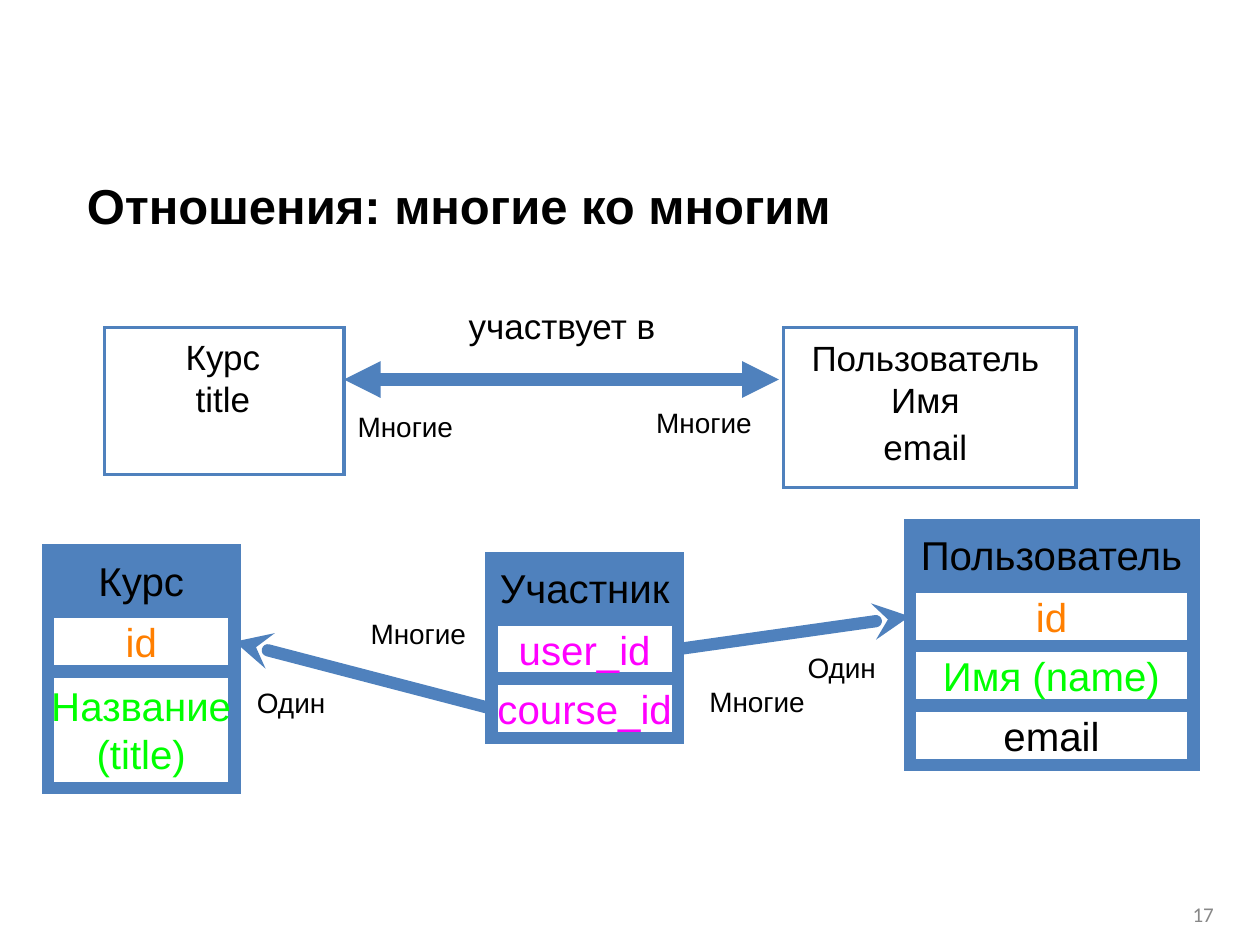
from lxml.etree import SubElement
from pptx import Presentation
from pptx.dml.color import RGBColor
from pptx.enum.shapes import MSO_CONNECTOR, MSO_SHAPE
from pptx.enum.text import MSO_ANCHOR, PP_ALIGN
from pptx.oxml.ns import qn
from pptx.util import Cm, Pt

BLUE = RGBColor(0x4F, 0x81, 0xBD)
BLACK = RGBColor(0x00, 0x00, 0x00)
GRAY = RGBColor(0x88, 0x88, 0x88)
ORANGE = RGBColor(0xFF, 0x7F, 0x00)
GREEN = RGBColor(0x00, 0xFF, 0x00)
MAGENTA = RGBColor(0xFF, 0x00, 0xFF)

ROW_HEIGHT = 1.19
HEADER_STEP = 1.24
ROW_STEP = 1.2
LEFT_SIDE, RIGHT_SIDE = 1, 3


class RelationSlide:
    font_name = "Arial"
    thick, thin = 7, 2

    def __init__(self, deck):
        self.page = deck.slides.add_slide(deck.slide_layouts[5])

    def style(self, para, size, color=BLACK, align=PP_ALIGN.CENTER, font=font_name):
        para.alignment = align
        para.font.size = Pt(size)
        para.font.name = font
        para.font.color.rgb = color

    def fill_text(self, box, text, inset=(0, 0), anchor=MSO_ANCHOR.MIDDLE, **look):
        frame = box.text_frame
        frame.word_wrap = True
        frame.vertical_anchor = anchor
        frame.margin_left = frame.margin_right = Cm(inset[0])
        frame.margin_top = frame.margin_bottom = Cm(inset[1])
        frame.text = text
        for para in frame.paragraphs:
            self.style(para, **look)

    def title(self, text, left, top, width, height):
        box = self.page.shapes.title
        box.left, box.top, box.width, box.height = Cm(left), Cm(top), Cm(width), Cm(height)
        self.fill_text(box, text, inset=(0.25, 0.13), size=28, align=PP_ALIGN.LEFT)
        box.text_frame.paragraphs[0].font.bold = True

    def text(self, text, left, top, width, height=0.97, size=20, **look):
        box = self.page.shapes.add_textbox(Cm(left), Cm(top), Cm(width), Cm(height))
        self.fill_text(box, text, size=size, **look)

    def label(self, text, left, top, width):
        self.text(text, left, top, width, 0.81, size=16, inset=(0.15, 0.08),
                  anchor=MSO_ANCHOR.TOP, align=PP_ALIGN.LEFT)

    def rectangle(self, left, top, width, height, weight=thin, filled=False):
        box = self.page.shapes.add_shape(
            MSO_SHAPE.RECTANGLE, Cm(left), Cm(top), Cm(width), Cm(height))
        box.shadow.inherit = False
        if filled:
            box.fill.solid()
            box.fill.fore_color.rgb = BLUE
        else:
            box.fill.background()
        box.line.color.rgb = BLUE
        box.line.width = Pt(weight)
        SubElement(box.line._get_or_add_ln(), qn("a:miter"), lim="800000")
        return box

    def entity(self, name, left, top, width, fields):
        header = self.rectangle(left, top, width, ROW_HEIGHT, self.thick, filled=True)
        self.fill_text(header, name, size=23)
        rows = []
        row_top = top + HEADER_STEP
        for text, color, height in fields:
            row = self.rectangle(left, row_top, width, height, self.thick)
            self.fill_text(row, text, size=23, color=color)
            rows.append(row)
            row_top += ROW_STEP
        return rows

    def arrow(self, start, end, head, tail=None):
        line = self.page.shapes.add_connector(
            MSO_CONNECTOR.STRAIGHT, *(Cm(value) for value in start + end))
        line.line.color.rgb = BLUE
        line.line.width = Pt(self.thick)
        outline = line.line._get_or_add_ln()
        SubElement(outline, qn("a:headEnd"), type=head)
        if tail:
            SubElement(outline, qn("a:tailEnd"), type=tail)
        SubElement(line._element.spPr, qn("a:effectLst"))
        return line

    def reference(self, key, key_side, foreign_key, foreign_side):
        line = self.arrow((0, 0), (1, 1), "stealth")
        line.line._get_or_add_ln().set("cap", "rnd")
        line.begin_connect(key, key_side)
        line.end_connect(foreign_key, foreign_side)


def main():
    deck = Presentation()
    deck.slide_width, deck.slide_height = Cm(25.4), Cm(19.05)
    slide = RelationSlide(deck)

    slide.title("Отношения: многие ко многим", 1.5, 3.12, 23.01, 2.01)
    slide.text("17", 18.8, 17.91, 5.92, 1.02, size=12, inset=(0.25, 0.13),
               color=GRAY, align=PP_ALIGN.RIGHT, font="Calibri")

    slide.rectangle(2.11, 6.6, 4.83, 2.97)
    slide.text("Курс\ntitle", 2.87, 6.73, 3.25, 1.78)
    slide.rectangle(15.8, 6.6, 5.89, 3.23)
    slide.text("Пользователь", 16.13, 6.73, 5.05)
    slide.text("Имя", 17.7, 7.57, 1.91)
    slide.text("email", 17.4, 8.51, 2.51)
    slide.arrow((6.93, 7.65), (15.7, 7.65), "triangle", "triangle")
    slide.text("участвует в", 9.35, 6.07, 3.96)

    course_id, _ = slide.entity("Курс", 0.97, 11.1, 3.76, [
        ("id", ORANGE, ROW_HEIGHT), ("Название (title)", GREEN, 2.34)])
    user_key, course_key = slide.entity("Участник", 9.91, 11.25, 3.76, [
        ("user_id", MAGENTA, ROW_HEIGHT), ("course_id", MAGENTA, ROW_HEIGHT)])
    user_id, *_ = slide.entity("Пользователь", 18.34, 10.59, 5.72, [
        ("id", ORANGE, ROW_HEIGHT), ("Имя (name)", GREEN, ROW_HEIGHT),
        ("email", BLACK, ROW_HEIGHT)])
    slide.reference(course_id, RIGHT_SIDE, course_key, LEFT_SIDE)
    slide.reference(user_id, LEFT_SIDE, user_key, RIGHT_SIDE)

    for text, left, top, width in [
        ("Многие", 7.06, 8.18, 2.46),
        ("Многие", 13.08, 8.1, 2.69),
        ("Многие", 7.32, 12.34, 2.46),
        ("Один", 5.03, 13.74, 1.91),
        ("Многие", 14.15, 13.72, 2.34),
        ("Один", 16.13, 13.03, 2.03),
    ]:
        slide.label(text, left, top, width)

    deck.save("out.pptx")


if __name__ == "__main__":
    main()
